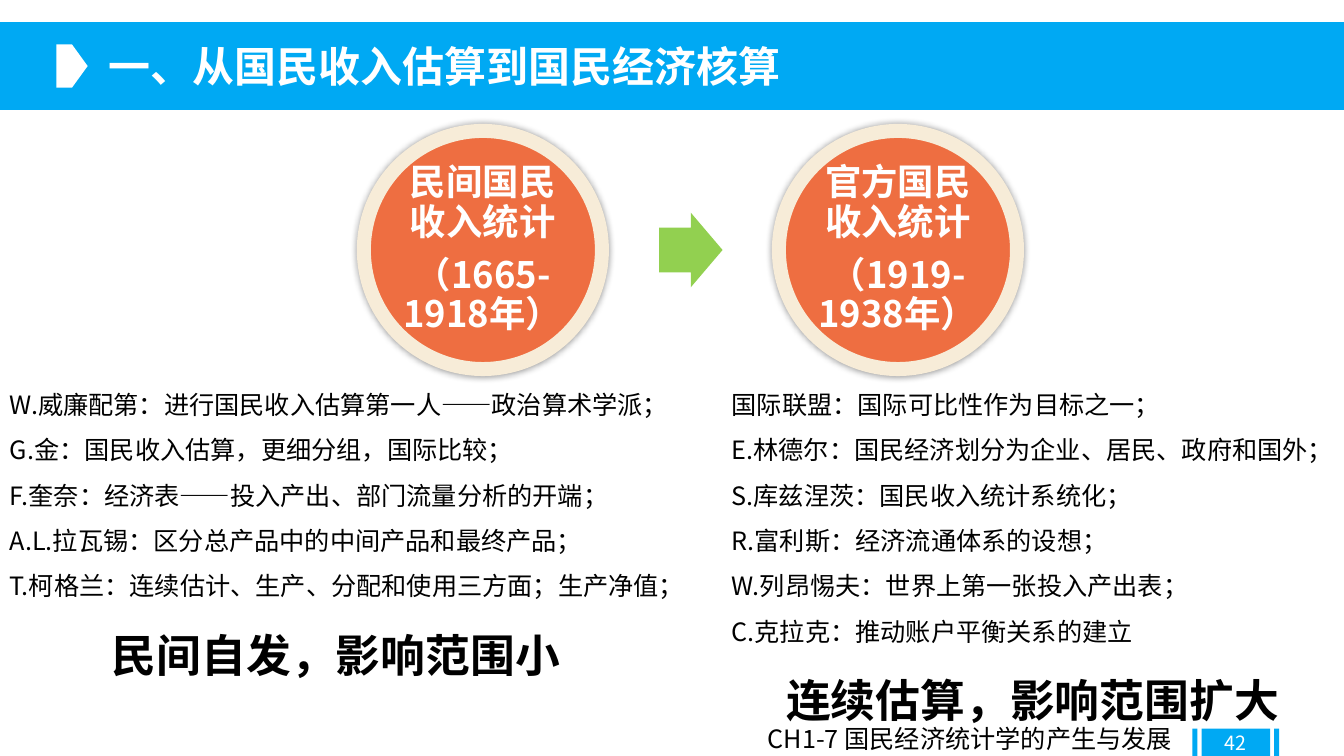
import pptx
import pptx.dml.color
import pptx.enum.shapes
import pptx.enum.text
import pptx.oxml
import pptx.oxml.ns
import pptx.util
from pptx.util import Cm

FONT = "Noto Sans CJK SC"
BLUE, ORANGE, CREAM, GREEN = "00A9F3", "EE6E41", "F7ECD8", "92D050"
WHITE, BLACK = "FFFFFF", "000000"
SHAPES = pptx.enum.shapes.MSO_SHAPE
CENTER = pptx.enum.text.PP_ALIGN.CENTER
MIDDLE = pptx.enum.text.MSO_ANCHOR.MIDDLE
rgb = pptx.dml.color.RGBColor.from_string

presentation = pptx.Presentation()
presentation.slide_width, presentation.slide_height = Cm(33.87), Cm(19.05)
slide = presentation.slides.add_slide(presentation.slide_layouts[6])


def add_filled(kind, left, top, width, height, color):
    shape = slide.shapes.add_shape(kind, Cm(left), Cm(top), Cm(width), Cm(height))
    shape.shadow.inherit = False
    shape.fill.solid()
    shape.fill.fore_color.rgb = rgb(color)
    shape.line.fill.background()
    return shape


def write(shape, lines, size, color, bold=False, align=None, spacing=None, wrap=True):
    frame = shape.text_frame
    frame.word_wrap = wrap
    frame.text = "\n".join(lines)
    for paragraph in frame.paragraphs:
        paragraph.alignment = align
        paragraph.line_spacing = spacing
        for run in paragraph.runs:
            run.font.size = pptx.util.Pt(size)
            run.font.bold = bold
            run.font.color.rgb = rgb(color)
            run.font.name = FONT
            east_asian = pptx.oxml.parse_xml(
                f'<a:ea {pptx.oxml.ns.nsdecls("a")} typeface="{FONT}"/>')
            run.font._element.find(pptx.oxml.ns.qn("a:latin")).addnext(east_asian)
    return frame


# Title band
add_filled(SHAPES.RECTANGLE, 0, 0.56, 33.87, 2.21, BLUE)
add_filled(SHAPES.PENTAGON, 1.42, 1.12, 0.79, 1.09, WHITE)
title = slide.shapes.add_textbox(Cm(2.48), Cm(0.89), Cm(17.78), Cm(1.55))
write(title, ["一、从国民收入估算到国民经济核算"], 30, WHITE, bold=True, wrap=False)

# Page number with side bars
for left, width in [(30.05, 0.13), (30.28, 1.73), (32.11, 0.13)]:
    add_filled(SHAPES.RECTANGLE, left, 18.36, width, 0.69, BLUE)
page_number = slide.shapes.add_textbox(Cm(30.28), Cm(18.21), Cm(1.73), Cm(1.02))
write(page_number, ["42"], 14, WHITE, align=CENTER).vertical_anchor = MIDDLE

# Two periods joined by an arrow
arrow = add_filled(SHAPES.RIGHT_ARROW, 16.61, 5.36, 1.6, 1.88, GREEN)
arrow.adjustments[0] = 0.6
periods = [
    (9.17, ["民间国民收入统计", "（1665-1918年）"]),
    (19.63, ["官方国民收入统计", "（1919-1938年）"]),
]
for left, lines in periods:
    circle = add_filled(SHAPES.OVAL, left, 3.3, 6, 6, ORANGE)
    circle.line.color.rgb = rgb(CREAM)
    circle.line.width = pptx.util.Pt(10)
    effects = circle._element.spPr.find(pptx.oxml.ns.qn("a:effectLst"))
    effects.append(pptx.oxml.parse_xml(
        f'<a:outerShdw {pptx.oxml.ns.nsdecls("a")} blurRad="63500" dist="0" dir="0">'
        f'<a:srgbClr val="{BLACK}"><a:alpha val="40000"/></a:srgbClr></a:outerShdw>'))
    frame = write(circle, lines, 26, WHITE, bold=True, align=CENTER, spacing=0.9)
    frame.vertical_anchor = MIDDLE
    frame.margin_left = frame.margin_right = frame.margin_top = frame.margin_bottom = 0
    for paragraph in frame.paragraphs:
        paragraph.space_after = pptx.util.Pt(10)

# Contributors of each period, closed by a large conclusion
columns = [
    (0, 16.94, 7.85, [
        "W.威廉配第：进行国民收入估算第一人——政治算术学派；",
        "G.金：国民收入估算，更细分组，国际比较；",
        "F.奎奈：经济表——投入产出、部门流量分析的开端；",
        "A.L.拉瓦锡：区分总产品中的中间产品和最终产品；",
        "T.柯格兰：连续估计、生产、分配和使用三方面；生产净值；",
        "民间自发，影响范围小",
    ]),
    (18.19, 15.67, 8.99, [
        "国际联盟：国际可比性作为目标之一；",
        "E.林德尔：国民经济划分为企业、居民、政府和国外；",
        "S.库兹涅茨：国民收入统计系统化；",
        "R.富利斯：经济流通体系的设想；",
        "W.列昂惕夫：世界上第一张投入产出表；",
        "C.克拉克：推动账户平衡关系的建立",
        "连续估算，影响范围扩大",
    ]),
]
for left, width, height, lines in columns:
    column = slide.shapes.add_textbox(Cm(left), Cm(9.3), Cm(width), Cm(height))
    conclusion = write(column, lines, 18, BLACK, spacing=1.5).paragraphs[-1]
    conclusion.alignment = CENTER
    conclusion.runs[0].font.size = pptx.util.Pt(32)
    conclusion.runs[0].font.bold = True

# Chapter footer
footer = slide.shapes.add_textbox(Cm(19.1), Cm(18.11), Cm(10.97), Cm(1.02))
write(footer, ["CH1-7 国民经济统计学的产生与发展"], 18, BLACK)

presentation.save("out.pptx")
